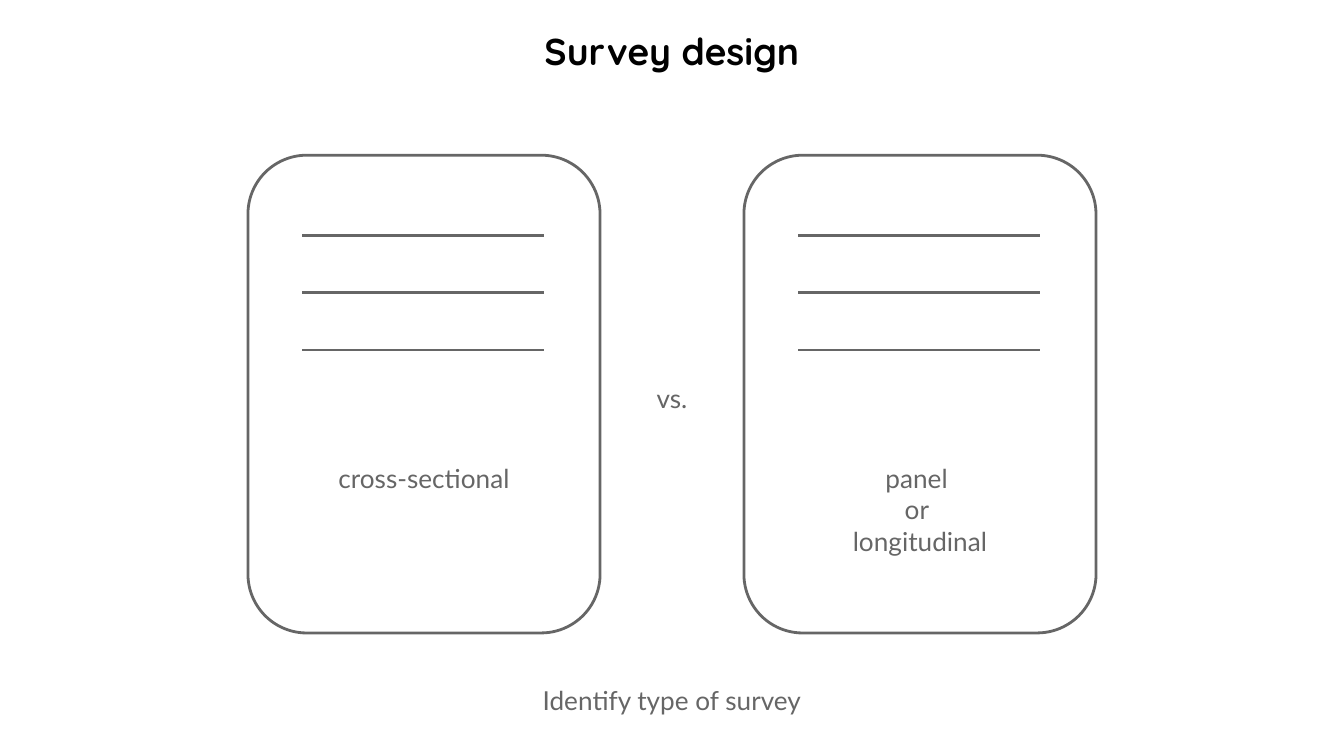
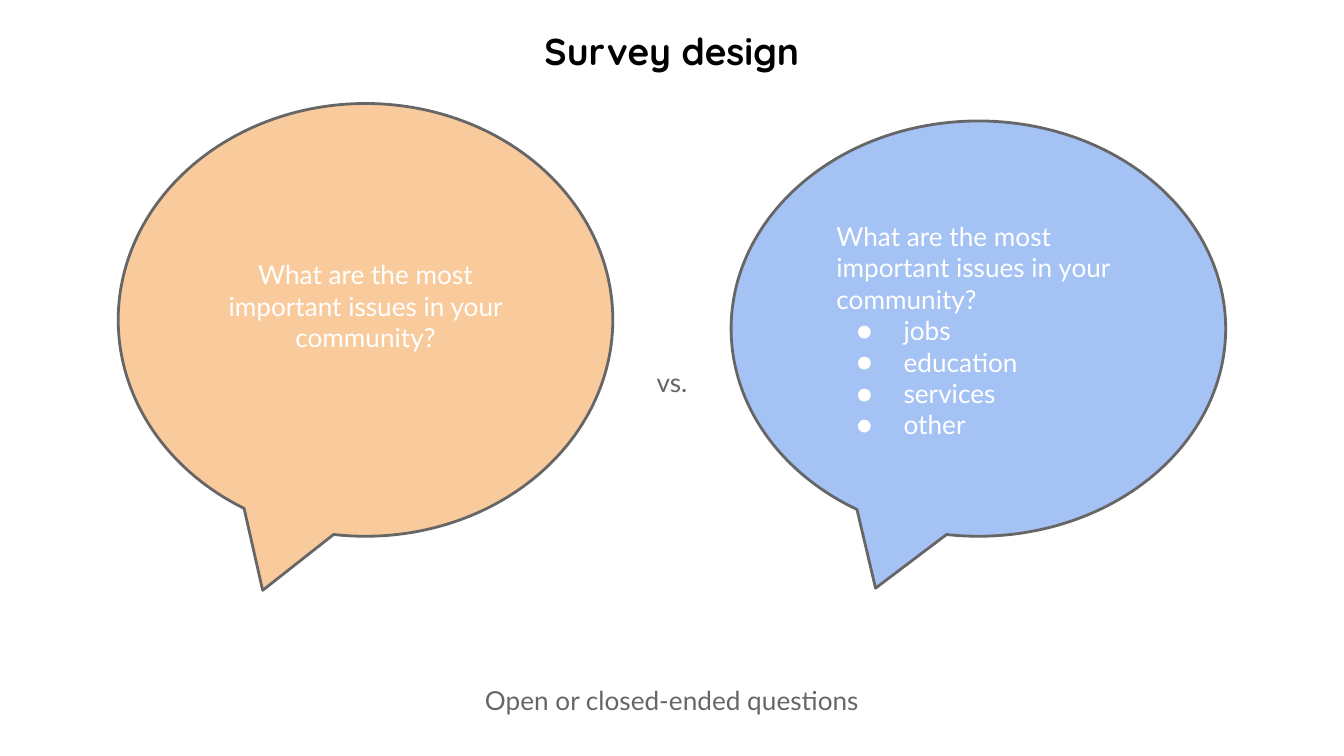
import dataclasses

import pptx
import pptx.dml.color
import pptx.enum.shapes
import pptx.enum.text
import pptx.oxml.ns
import pptx.util
from lxml import etree

EMU_PER_PX = 4572  # 200 px to the inch
SLIDE_WIDTH, SLIDE_HEIGHT = 2000, 1125
ALIGN = pptx.enum.text.PP_ALIGN
SHAPE = pptx.enum.shapes.MSO_SHAPE


@dataclasses.dataclass(frozen=True)
class Theme:
    title_font: str = "Quicksand"
    body_font: str = "Lato"
    title_size: int = 20
    body_size: int = 14
    line_width: float = 1.5
    black: str = "000000"
    gray: str = "666666"
    white: str = "FFFFFF"
    orange: str = "F9CB9C"
    blue: str = "A4C2F4"


THEME = Theme()


def px(length):
    return pptx.util.Emu(length * EMU_PER_PX)


def rgb(color):
    return pptx.dml.color.RGBColor.from_string(color)


def add_bullet(paragraph, color):
    properties = paragraph._p.get_or_add_pPr()
    properties.set("marL", str(px(100)))
    properties.set("indent", str(px(-70)))
    qn = pptx.oxml.ns.qn
    bullet_color = etree.SubElement(properties, qn("a:buClr"))
    etree.SubElement(bullet_color, qn("a:srgbClr"), val=color)
    etree.SubElement(properties, qn("a:buFont"), typeface=THEME.body_font)
    etree.SubElement(properties, qn("a:buChar"), char="●")


def write_text(shape, lines, bullets=(), font=THEME.body_font, size=THEME.body_size,
               color=THEME.gray, bold=False, align=ALIGN.CENTER):
    """Fill a shape with plain lines followed by bulleted ones."""
    frame = shape.text_frame
    frame.word_wrap = True
    frame.auto_size = pptx.enum.text.MSO_AUTO_SIZE.NONE
    frame.vertical_anchor = pptx.enum.text.MSO_ANCHOR.TOP
    frame.margin_left = frame.margin_right = px(20)
    frame.margin_top = frame.margin_bottom = px(20)
    for index, line in enumerate([*lines, *bullets]):
        paragraph = frame.add_paragraph() if index else frame.paragraphs[0]
        paragraph.alignment = align
        paragraph.space_before = pptx.util.Pt(0)
        if index >= len(lines):
            add_bullet(paragraph, color)
        run = paragraph.add_run()
        run.text = line
        run.font.name = font
        run.font.size = pptx.util.Pt(size)
        run.font.bold = bold
        run.font.color.rgb = rgb(color)


class Deck:
    def __init__(self, theme):
        self.theme = theme
        self.presentation = pptx.Presentation()
        self.presentation.slide_width = px(SLIDE_WIDTH)
        self.presentation.slide_height = px(SLIDE_HEIGHT)
        self.slide = None

    def start_slide(self, title, caption):
        self.slide = self.presentation.slides.add_slide(self.presentation.slide_layouts[0])
        heading, subtitle = self.slide.placeholders
        self.place(heading, 150, 22, 1700, 112)
        write_text(heading, [title], font=self.theme.title_font, size=self.theme.title_size,
                   color=self.theme.black, bold=True)
        self.place(subtitle, 150, 999, 1700, 74)
        write_text(subtitle, [caption])

    def place(self, shape, left, top, width, height):
        shape.left, shape.top = px(left), px(top)
        shape.width, shape.height = px(width), px(height)

    def text(self, left, top, width, height, lines, **text_format):
        box = self.slide.shapes.add_textbox(px(left), px(top), px(width), px(height))
        write_text(box, lines, **text_format)

    def outline(self, line):
        line.color.rgb = rgb(self.theme.gray)
        line.width = pptx.util.Pt(self.theme.line_width)

    def shape(self, shapes, kind, left, top, width, height, fill, adjustments):
        shape = shapes.add_shape(kind, px(left), px(top), px(width), px(height))
        for index, value in enumerate(adjustments):
            shape.adjustments[index] = value
        shape.shadow.inherit = False
        shape.fill.solid()
        shape.fill.fore_color.rgb = rgb(fill)
        self.outline(shape.line)

    def rule(self, shapes, left, top, width):
        connector = shapes.add_connector(pptx.enum.shapes.MSO_CONNECTOR.STRAIGHT,
                                         px(left), px(top), px(left + width), px(top))
        self.outline(connector.line)
        etree.SubElement(connector._element.spPr, pptx.oxml.ns.qn("a:effectLst"))

    def sheet(self, left):
        """Draw a rounded sheet with three rules on it."""
        top = 231
        shapes = self.slide.shapes.add_group_shape().shapes
        self.shape(shapes, SHAPE.ROUNDED_RECTANGLE, left, top, 524, 711,
                   self.theme.white, [0.167])
        for offset in (120, 204, 290):
            self.rule(shapes, left + 81, top + offset, 360)

    def callout(self, left, top, height, fill):
        self.shape(self.slide.shapes, SHAPE.OVAL_CALLOUT, left, top, 736, height,
                   fill, [-0.208, 0.625])

    def versus(self, top):
        self.text(938, top, 124, 74, ["vs."])


def main():
    deck = Deck(THEME)
    title = "Survey design"

    deck.start_slide(title, "Identify type of survey")
    surveys = {369: ["cross-sectional"], 1107: ["panel ", "or ", "longitudinal"]}
    for left in surveys:
        deck.sheet(left)
    for left, lines in surveys.items():
        deck.text(left + 90, 668, 344, 190, lines)
    deck.versus(549)

    question = "What are the most important issues in your community?"
    deck.start_slide(title, "Open or closed-ended questions")
    deck.callout(176, 154, 644, THEME.orange)
    deck.callout(1088, 180, 618, THEME.blue)
    deck.versus(526)
    deck.text(297, 365, 494, 250, [question], color=THEME.white)
    deck.text(1225, 308, 494, 250, [question], bullets=["jobs", "education", "services", "other"],
              color=THEME.white, align=ALIGN.LEFT)

    deck.presentation.save("out.pptx")


if __name__ == "__main__":
    main()
